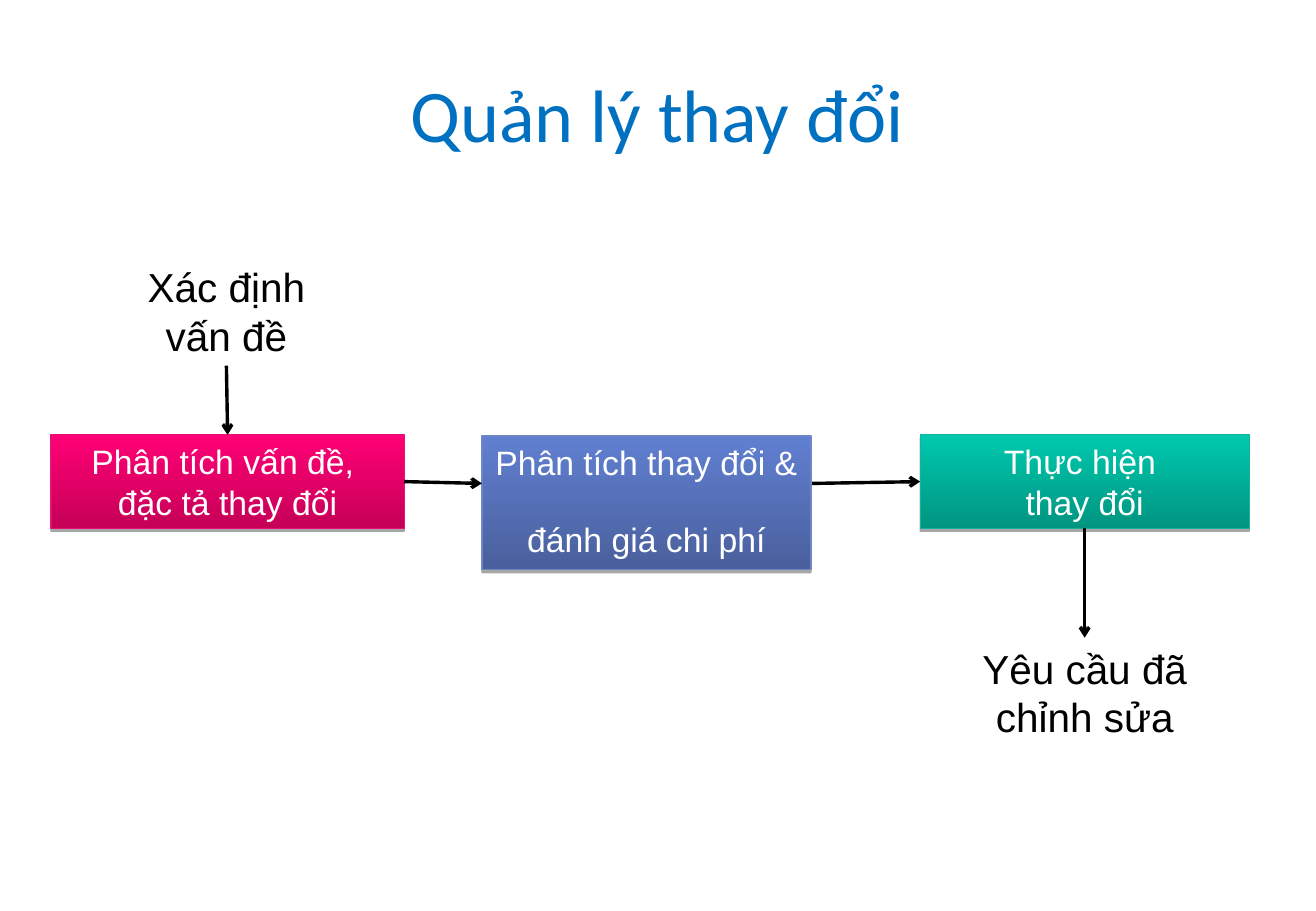
from dataclasses import dataclass
from typing import Optional

from lxml.etree import SubElement
from pptx import Presentation
from pptx.dml.color import RGBColor
from pptx.enum.shapes import MSO_CONNECTOR, MSO_SHAPE
from pptx.enum.text import MSO_ANCHOR, MSO_AUTO_SIZE, PP_ALIGN
from pptx.oxml.ns import qn
from pptx.util import Inches, Pt

TOP, LEFT, BOTTOM, RIGHT = range(4)


@dataclass
class Block:
    name: str
    text: str
    left: float
    top: float
    width: float
    height: float


@dataclass
class Step(Block):
    dark: str
    light: str
    border: str


@dataclass
class Arrow:
    start: tuple[float, float]
    end: tuple[float, float]
    source: Optional[tuple[str, int]] = None
    target: Optional[tuple[str, int]] = None


LABELS = [
    Block("problem", "Xác định vấn đề", 1.02, 2.11, 1.69, 0.9),
    Block("result", "Yêu cầu đã chỉnh sửa", 7.58, 5.25, 2.71, 0.9),
]
STEPS = [
    Step("analysis", "Phân tích vấn đề, \nđặc tả thay đổi",
         0.42, 3.58, 2.91, 0.77, "C50057", "FF0075", "EA0F77"),
    Step("costing", "Phân tích thay đổi & \nđánh giá chi phí",
         3.97, 3.59, 2.71, 1.1, "4A609D", "617FD1", "6E86C6"),
    Step("change", "Thực hiện \nthay đổi",
         7.58, 3.58, 2.71, 0.77, "009581", "00C8AE", "15B39E"),
]
ARROWS = [
    Arrow((1.86, 3.02), (1.87, 3.58), ("problem", BOTTOM), ("analysis", TOP)),
    Arrow((3.32, 3.97), (3.97, 3.98), source=("analysis", RIGHT)),
    Arrow((6.69, 3.98), (7.58, 3.97), target=("change", LEFT)),
    Arrow((8.94, 4.36), (8.94, 5.25), ("change", BOTTOM), ("result", TOP)),
]


def rgb(color: str) -> RGBColor:
    return RGBColor.from_string(color)


def write(tf, text: str, size: int, color: str, font: str = "Arial") -> None:
    tf.word_wrap = True
    p = tf.paragraphs[0]
    p.alignment = PP_ALIGN.CENTER
    for i, line in enumerate(text.split("\n")):
        if i:
            p.add_line_break()
        r = p.add_run()
        r.text = line
        r.font.name = font
        r.font.size = Pt(size)
        r.font.color.rgb = rgb(color)


def place(block: Block) -> list:
    return [Inches(v) for v in (block.left, block.top, block.width, block.height)]


def add_label(s, label: Block):
    sp = s.shapes.add_textbox(*place(label))
    write(sp.text_frame, label.text, 24, "000000")
    sp.text_frame.auto_size = MSO_AUTO_SIZE.SHAPE_TO_FIT_TEXT
    return sp


def add_shadow(sp) -> None:
    sp.shadow.inherit = False
    effects = sp._element.spPr.find(qn("a:effectLst"))
    shadow = SubElement(effects, qn("a:outerShdw"), blurRad="0", dist=str(Pt(1.8)),
                        dir="5400000", rotWithShape="0")
    color = SubElement(shadow, qn("a:srgbClr"), val="000000")
    SubElement(color, qn("a:alpha"), val="35000")


def add_step(s, step: Step):
    sp = s.shapes.add_shape(MSO_SHAPE.RECTANGLE, *place(step))
    sp.fill.gradient()
    sp.fill.gradient_angle = 90
    for stop, color in zip(sp.fill.gradient_stops, (step.dark, step.light)):
        stop.color.rgb = rgb(color)
    sp.line.color.rgb = rgb(step.border)
    sp.line.width = Pt(0.75)
    add_shadow(sp)
    tf = sp.text_frame
    write(tf, step.text, 20, "FFFFFF")
    tf.vertical_anchor = MSO_ANCHOR.TOP
    tf.auto_size = MSO_AUTO_SIZE.SHAPE_TO_FIT_TEXT
    return sp


def add_arrow(s, arrow: Arrow, blocks: dict) -> None:
    ends = [Inches(v) for v in (*arrow.start, *arrow.end)]
    line = s.shapes.add_connector(MSO_CONNECTOR.STRAIGHT, *ends)
    if arrow.source:
        name, side = arrow.source
        line.begin_connect(blocks[name], side)
    if arrow.target:
        name, side = arrow.target
        line.end_connect(blocks[name], side)
    line.line.color.rgb = rgb("000000")
    line.line.width = Pt(2)
    SubElement(line.line._get_or_add_ln(), qn("a:tailEnd"), type="arrow")
    SubElement(line._element.spPr, qn("a:effectLst"))


def main() -> None:
    prs = Presentation()
    prs.slide_width, prs.slide_height = Inches(10.84), Inches(7.5)
    s = prs.slides.add_slide(prs.slide_layouts[5])
    title = s.shapes.title
    title.left, title.top = Inches(0.54), Inches(0.3)
    title.width, title.height = Inches(9.75), Inches(1.25)
    title.text_frame.vertical_anchor = MSO_ANCHOR.MIDDLE
    write(title.text_frame, "Quản lý thay đổi", 44, "0070C0", "Calibri")
    blocks = {label.name: add_label(s, label) for label in LABELS}
    blocks |= {step.name: add_step(s, step) for step in STEPS}
    for arrow in ARROWS:
        add_arrow(s, arrow, blocks)
    prs.save("out.pptx")


if __name__ == "__main__":
    main()
